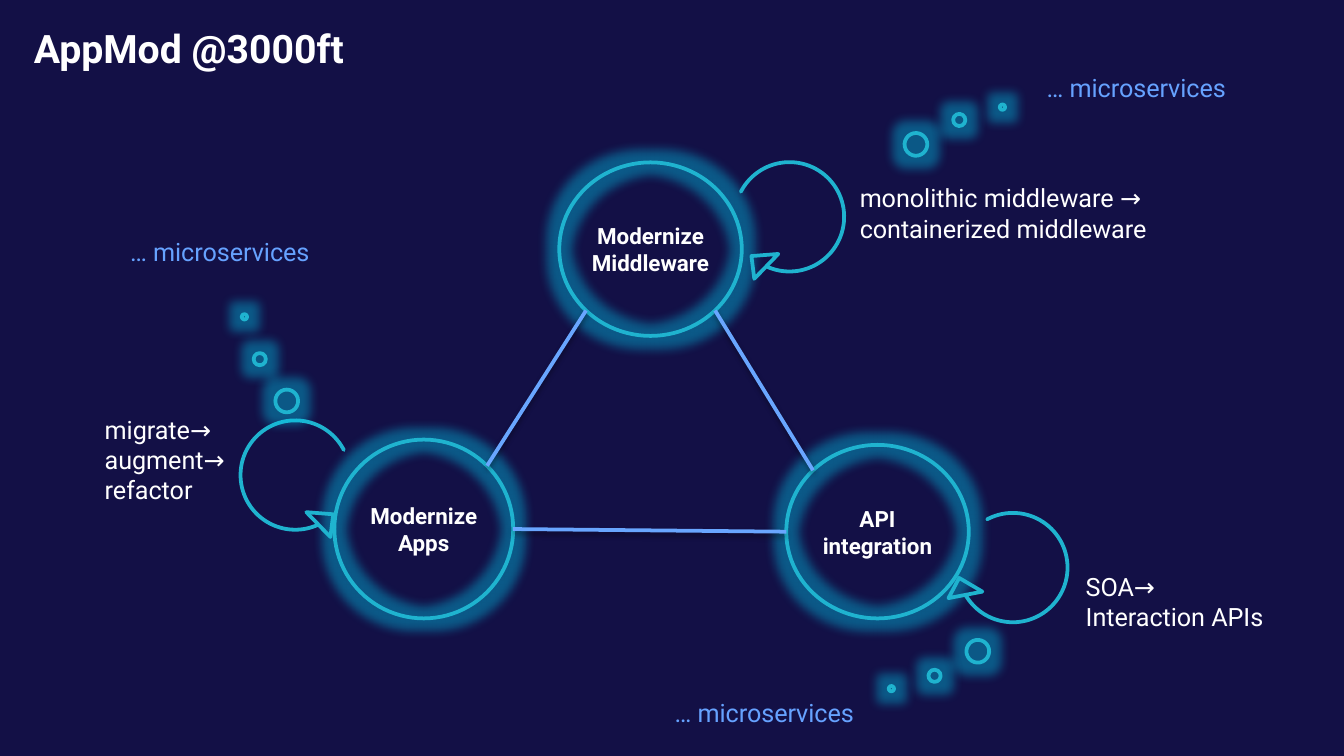
from math import cos, radians, sin, sqrt

from lxml import etree
from pptx import Presentation
from pptx.dml.color import RGBColor
from pptx.enum.shapes import MSO_CONNECTOR, MSO_SHAPE
from pptx.enum.text import MSO_ANCHOR, MSO_AUTO_SIZE as AutoSize, PP_ALIGN
from pptx.oxml import parse_xml
from pptx.oxml.ns import nsdecls, qn
from pptx.util import Cm, Pt

NAVY = RGBColor(0x13, 0x10, 0x46)
WHITE = RGBColor(0xFF, 0xFF, 0xFF)
TEAL = RGBColor(0x1F, 0xB3, 0xCF)
LINK_BLUE = RGBColor(0x69, 0xA6, 0xFF)
LABEL_BLUE = RGBColor(0x66, 0xA2, 0xFF)
GLOW = RGBColor(0x00, 0xC8, 0xEB)
SHADOW = RGBColor(0x00, 0x00, 0x00)

FONT = "Roboto"
LOOP_SIZE = 2.72
LOOP_ADJUSTMENTS = (0, 11.42, 33.88, 89.18, 0.12)
DOTS = ((0, 0, 0.43), (-0.51, -0.79, 0.23), (-0.8, -1.59, 0.1))

STAGES = {
    "Modernize Apps": dict(
        box=(6.32, 8.31, 3.38, 3.38),
        loop=(-2.1, -0.69), turn=301.4, mirrored=True,
        note="migrate→\naugment→\nrefactor", note_box=(-4.59, -0.61, 3.84, 2.57),
        dots=(-0.9, -0.73), dots_turn=0, label=(-4.11, -3.97)),
    "API integration": dict(
        box=(14.86, 8.41, 3.45, 3.28),
        loop=(2.92, 0.96), turn=93.6, mirrored=False,
        note="SOA→\vInteraction APIs", note_box=(5.41, 2.26, 4.14, 1.42),
        dots=(3.62, 3.9), dots_turn=273.3, label=(-2.36, 4.65)),
    "Modernize Middleware": dict(
        box=(10.57, 3.07, 3.45, 3.28),
        loop=(2.99, -0.33), turn=58.6, mirrored=False,
        note="monolithic middleware →\ncontainerized middleware",
        note_box=(5.43, 0.26, 7.57, 1.42),
        dots=(6.74, -0.34), dots_turn=93.4, label=(8.96, -1.83)),
}


def style(paragraphs, size, color, bold=False):
    for paragraph in paragraphs:
        font = paragraph.font
        font.name, font.size, font.bold = FONT, Pt(size), bold
        font.color.rgb = color


def add_effect(shape, effect=""):
    properties = shape._element.spPr
    for old in properties.findall(qn("a:effectLst")):
        properties.remove(old)
    properties.append(parse_xml(
        f'<a:effectLst {nsdecls("a")}>{effect}</a:effectLst>'))


def effect_color(color, alpha):
    return (f'<a:srgbClr val="{color}"><a:alpha val="{alpha * 1000}"/>'
            '</a:srgbClr>')


def add_outline(shapes, preset, box):
    outline = shapes.add_shape(preset, *map(Cm, box))
    outline.shadow.inherit = False
    outline.fill.background()
    outline.line.color.rgb = TEAL
    outline.line.width = Pt(2)
    return outline


def add_ring(shapes, box):
    ring = add_outline(shapes, MSO_SHAPE.OVAL, box)
    add_effect(ring, f'<a:glow rad="{Pt(11)}">{effect_color(GLOW, 40)}</a:glow>')
    return ring


def add_text(slide, box, text, color):
    frame = slide.shapes.add_textbox(*map(Cm, box)).text_frame
    frame.word_wrap = True
    frame.auto_size = AutoSize.SHAPE_TO_FIT_TEXT
    frame.text = text
    style(frame.paragraphs, 13.5, color)


def add_title(slide, box, text):
    title = slide.shapes.title
    title.left, title.top, title.width, title.height = map(Cm, box)
    frame = title.text_frame
    frame.text = text
    frame.auto_size = AutoSize.NONE
    frame.vertical_anchor = MSO_ANCHOR.TOP
    frame.margin_left = frame.margin_right = 0
    frame.margin_top = frame.margin_bottom = 0
    paragraph = frame.paragraphs[0]
    paragraph.alignment = PP_ALIGN.LEFT
    paragraph.line_spacing = 0.9
    style([paragraph], 21, WHITE, bold=True)


def add_circle(slide, box, name):
    frame = add_ring(slide.shapes, box).text_frame
    frame.margin_left = frame.margin_right = 0
    frame.margin_top = frame.margin_bottom = 0
    frame.vertical_anchor = MSO_ANCHOR.MIDDLE
    frame.word_wrap = True
    frame.text = name
    frame.paragraphs[0].alignment = PP_ALIGN.CENTER
    style(frame.paragraphs, 12, WHITE, bold=True)


def add_loop(slide, box, turn, mirrored):
    loop = add_outline(slide.shapes, MSO_SHAPE.CIRCULAR_ARROW, box)
    for index, value in enumerate(LOOP_ADJUSTMENTS):
        loop.adjustments[index] = value
    loop.rotation = turn
    if mirrored:
        loop._element.spPr.xfrm.set("flipH", "1")


def add_dots(slide, x, y, turn):
    group = slide.shapes.add_group_shape()
    c, s = cos(radians(turn)), sin(radians(turn))
    for dx, dy, size in DOTS:
        left = x + dx * c - dy * s - size / 2
        top = y + dx * s + dy * c - size / 2
        add_ring(group.shapes, (left, top, size, size)).rotation = turn


def add_stage(slide, box, name, stage):
    left, top = box[:2]

    def place(dx, dy, *size):
        return (left + dx, top + dy, *size)

    add_circle(slide, box, name)
    add_loop(slide, place(*stage["loop"], LOOP_SIZE, LOOP_SIZE),
             stage["turn"], stage["mirrored"])
    add_text(slide, place(*stage["note_box"]), stage["note"], WHITE)
    add_dots(slide, *place(*stage["dots"]), stage["dots_turn"])
    add_text(slide, place(*stage["label"], 4.09, 1.42),
             "… microservices", LABEL_BLUE)


def rim(name, across, down):
    left, top, width, height = STAGES[name]["box"]
    return (Cm(left + width / 2 * (1 + across)),
            Cm(top + height / 2 * (1 + down)))


def add_link(slide, start, end):
    link = slide.shapes.add_connector(MSO_CONNECTOR.STRAIGHT, *start, *end)
    link.line.color.rgb = LINK_BLUE
    link.line.width = Pt(2)
    add_effect(link, f'<a:outerShdw blurRad="{Pt(3.1)}" dist="{Pt(1.6)}" '
                     f'dir="5400000">{effect_color(SHADOW, 38)}</a:outerShdw>')


def add_triangle(slide):
    apps, api, middleware = STAGES
    d = 1 / sqrt(2)
    add_link(slide, rim(apps, d, -d), rim(middleware, -d, d))
    add_link(slide, rim(api, -d, -d), rim(middleware, d, d))
    add_link(slide, rim(apps, 1, 0), rim(api, -1, 0))


def main():
    deck = Presentation()
    deck.slide_width, deck.slide_height = Cm(25.4), Cm(14.29)
    slide = deck.slides.add_slide(deck.slide_layouts[5])
    slide.background.fill.solid()
    slide.background.fill.fore_color.rgb = NAVY
    add_title(slide, (0.64, 0.56, 11.43, 1.5), "AppMod @3000ft")
    for name, stage in STAGES.items():
        add_stage(slide, stage["box"], name, stage)
    add_triangle(slide)
    deck.save("out.pptx")


if __name__ == "__main__":
    main()
